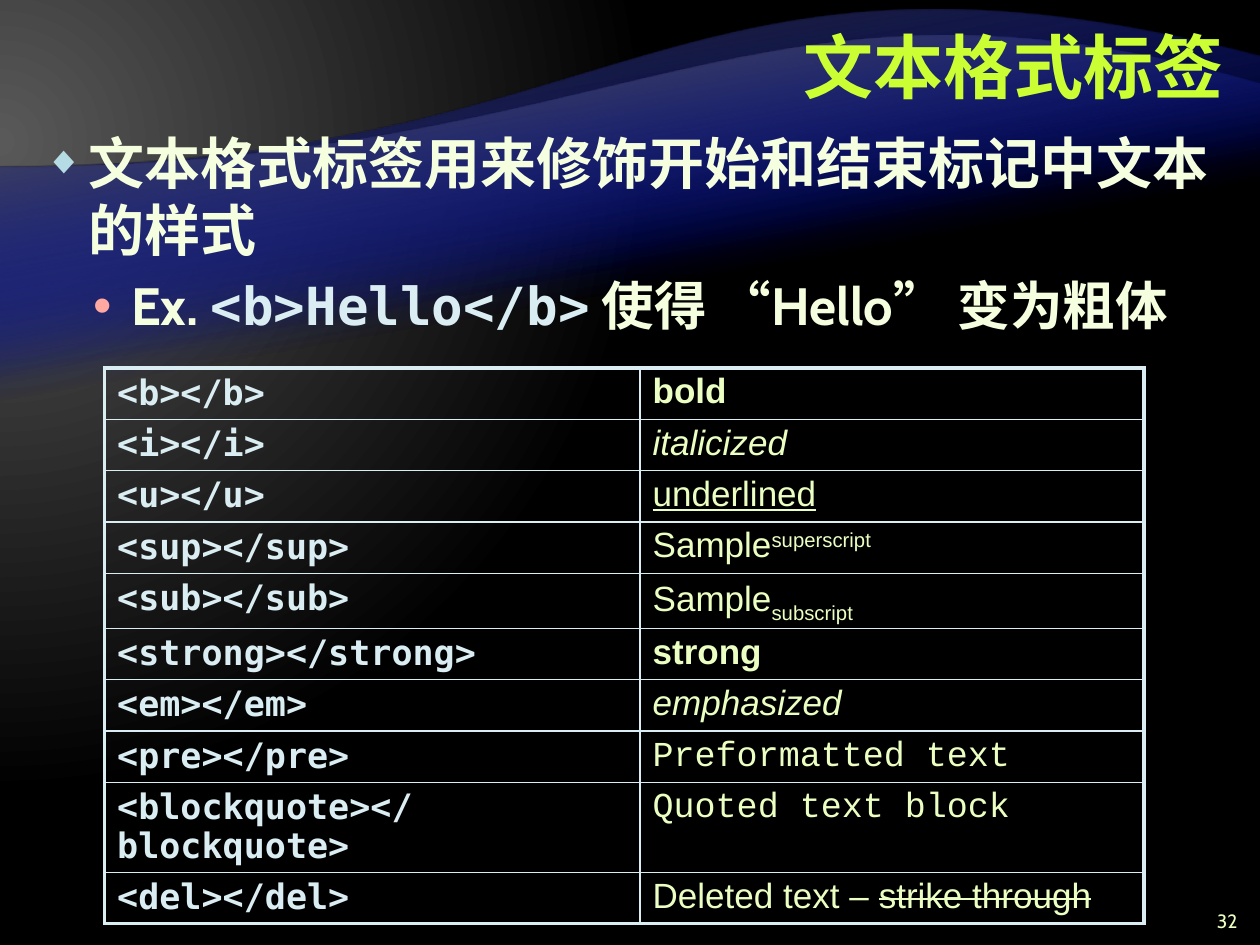
from dataclasses import dataclass

from lxml.etree import SubElement
from pptx import Presentation
from pptx.dml.color import RGBColor
from pptx.enum.text import MSO_ANCHOR, PP_ALIGN
from pptx.oxml.ns import qn
from pptx.util import Inches, Pt


@dataclass(frozen=True)
class Theme:
    title: str = "CCFF33"
    body: str = "F5FFE0"
    code: str = "DAEDF2"
    sample: str = "EBFFC2"
    diamond: str = "B5DBE5"
    dot: str = "FFA9A0"
    glow: str = "595959"
    dark: str = "262626"
    blue: str = "000D9E"
    black: str = "000000"
    title_size: int = 40
    body_size: int = 32
    example_size: int = 30
    table_size: int = 20
    number_size: int = 11
    heading_font: str = "Cabin"
    code_font: str = "DejaVu Sans Mono"
    sample_font: str = "Arial"
    typed_font: str = "Courier New"


theme = Theme()


def set_font(font, color, name, size=None, bold=None):
    font.name = name
    font.color.rgb = RGBColor.from_string(color)
    if size:
        font.size = Pt(size)
    if bold is not None:
        font.bold = bold


def set_gradient(fill, element, stops):
    fill.gradient()
    gradient = element.find(".//" + qn("a:gradFill"))
    for child in list(gradient):
        gradient.remove(child)
    gradient.set("rotWithShape", "1")
    stop_list = SubElement(gradient, qn("a:gsLst"))
    for position, color, opacity in stops:
        stop = SubElement(stop_list, qn("a:gs"), pos=str(position * 1000))
        paint = SubElement(stop, qn("a:srgbClr"), val=color)
        if opacity < 100:
            SubElement(paint, qn("a:alpha"), val=str(opacity * 1000))
    return gradient


deck = Presentation()
deck.slide_width, deck.slide_height = Inches(10), Inches(7.5)
page = deck.slides.add_slide(deck.slide_layouts[1])
title, body = page.placeholders

backdrop = set_gradient(page.background.fill, page.element,
                        [(0, theme.glow, 100), (83, theme.black, 100)])
circle = SubElement(backdrop, qn("a:path"), path="circle")
SubElement(circle, qn("a:fillToRect"), l="20000", t="30000", r="135000", b="100000")

waves = [
    (0.45, 6.08, [(10, 5.2), (5, 5.2), (4.66, 7.28), (0, 6.08)], theme.dark),
    (0.67, 4.9, [(10, 4.24), (5, 4.24), (4.02, 6.06), (0, 4.9)], theme.glow),
]
for top, height, outline, edge_color in waves * 2:
    start, *curve = [(Inches(x), Inches(y)) for x, y in outline]
    builder = page.shapes.build_freeform(0, 0)
    builder.add_line_segments([(Inches(10), 0), start, (0, Inches(height))], close=True)
    wave = builder.convert_to_shape(0, Inches(top))
    straight = wave.element.findall(".//" + qn("a:lnTo"))[2]
    bend = straight.makeelement(qn("a:cubicBezTo"))
    for x, y in curve:
        SubElement(bend, qn("a:pt"), x=str(x), y=str(y))
    straight.getparent().replace(straight, bend)
    wave.rotation = 180
    wave.shadow.inherit = False
    wave.line.fill.background()
    sheen = set_gradient(wave.fill, wave.element,
                         [(65, theme.blue, 0), (100, edge_color, 100)])
    SubElement(sheen, qn("a:lin"), ang=str(80 * 60000), scaled="0")
    title.element.addprevious(wave.element)

title.left, title.top = Inches(2.64), Inches(0.08)
title.width, title.height = Inches(7.17), Inches(0.99)
title.text_frame.text = "文本格式标签"
title.text_frame.vertical_anchor = MSO_ANCHOR.MIDDLE
para = title.text_frame.paragraphs[0]
para.alignment = PP_ALIGN.RIGHT
para.line_spacing = Pt(40)
set_font(para.font, theme.title, theme.heading_font, theme.title_size, True)

body.left, body.top = Inches(0.25), Inches(0.97)
body.width, body.height = Inches(9.5), Inches(6.28)
heading = (theme.body, theme.heading_font)
code = (theme.code, theme.code_font)
points = [
    (0.35, 0.35, "◆", theme.diamond, 70, theme.body_size,
     [("文本格式标签用来修饰开始和结束标记中文本的样式", heading)]),
    (0.69, 0.3, "•", theme.dot, 100, theme.example_size,
     [("Ex. ", heading), ("<b>Hello</b>", code), (" 使得 “Hello” 变为粗体", heading)]),
]
for level, (margin, hanging, mark, mark_color, mark_size, size, spans) in enumerate(points):
    para = body.text_frame.paragraphs[0] if level == 0 else body.text_frame.add_paragraph()
    para.level = level
    properties = para._p.get_or_add_pPr()
    properties.set("marL", str(Inches(margin)))
    properties.set("indent", str(-Inches(hanging)))
    SubElement(SubElement(properties, qn("a:buClr")), qn("a:srgbClr"), val=mark_color)
    SubElement(properties, qn("a:buSzPct"), val=str(mark_size * 1000))
    SubElement(properties, qn("a:buFont"), typeface=theme.sample_font)
    SubElement(properties, qn("a:buChar"), char=mark)
    para.font.size = Pt(size)
    para.font.bold = True
    for text, (color, name) in spans:
        span = para.add_run()
        span.text = text
        set_font(span.font, color, name)

arial, courier = theme.sample_font, theme.typed_font
tag_rows = [
    ("b", arial, [("bold", {"b": "1"})]),
    ("i", arial, [("italicized", {"i": "1"})]),
    ("u", arial, [("underlined", {"u": "sng"})]),
    ("sup", arial, [("Sample", {}), ("superscript", {"baseline": "30000"})]),
    ("sub", arial, [("Sample", {}), ("subscript", {"baseline": "-25000"})]),
    ("strong", arial, [("strong", {"b": "1"})]),
    ("em", arial, [("emphasized", {"i": "1"})]),
    ("pre", courier, [("Preformatted text", {})]),
    ("blockquote", courier, [("Quoted text block", {})]),
    ("del", arial, [("Deleted text – ", {}), ("strike through", {"strike": "sngStrike"})]),
]
tall_rows = {"sub": 0.43, "blockquote": 0.7}
frame = page.shapes.add_table(len(tag_rows), 2, Inches(0.83), Inches(2.92),
                              Inches(8.25), Inches(4.33))
table = frame.table
table.first_row = table.horz_banding = False
table.columns[0].width, table.columns[1].width = Inches(4.25), Inches(4)
last_row = len(tag_rows) - 1
for row, (tag, sample_font, samples) in enumerate(tag_rows):
    table.rows[row].height = Inches(tall_rows.get(tag, 0.4))
    columns = [
        ([(f"<{tag}></{tag}>", {"b": "1"})], theme.code, theme.code_font),
        (samples, theme.sample, sample_font),
    ]
    for column, (spans, color, name) in enumerate(columns):
        cell = table.cell(row, column)
        cell.fill.background()
        para = cell.text_frame.paragraphs[0]
        para.line_spacing = 0.95
        set_font(para.font, color, name, theme.table_size)
        for text, styles in spans:
            span = para.add_run()
            span.text = text
            for key, value in styles.items():
                span._r.get_or_add_rPr().set(key, value)
        outer_edges = {"L": column == 0, "R": column == 1,
                       "T": row == 0, "B": row == last_row}
        cell_properties = cell._tc.get_or_add_tcPr()
        for order, (side, outer) in enumerate(outer_edges.items()):
            border = cell_properties.makeelement(
                qn(f"a:ln{side}"), w=str(Pt(2.25 if outer else 1)))
            SubElement(SubElement(border, qn("a:solidFill")), qn("a:srgbClr"), val=theme.code)
            cell_properties.insert(order, border)

number = page.shapes.add_textbox(Inches(9.42), Inches(7.17), Inches(0.5), Inches(0.25))
number.text_frame.word_wrap = True
number.text_frame.text = "32"
para = number.text_frame.paragraphs[0]
para.alignment = PP_ALIGN.RIGHT
set_font(para.font, theme.sample, theme.heading_font, theme.number_size)

deck.save("out.pptx")
